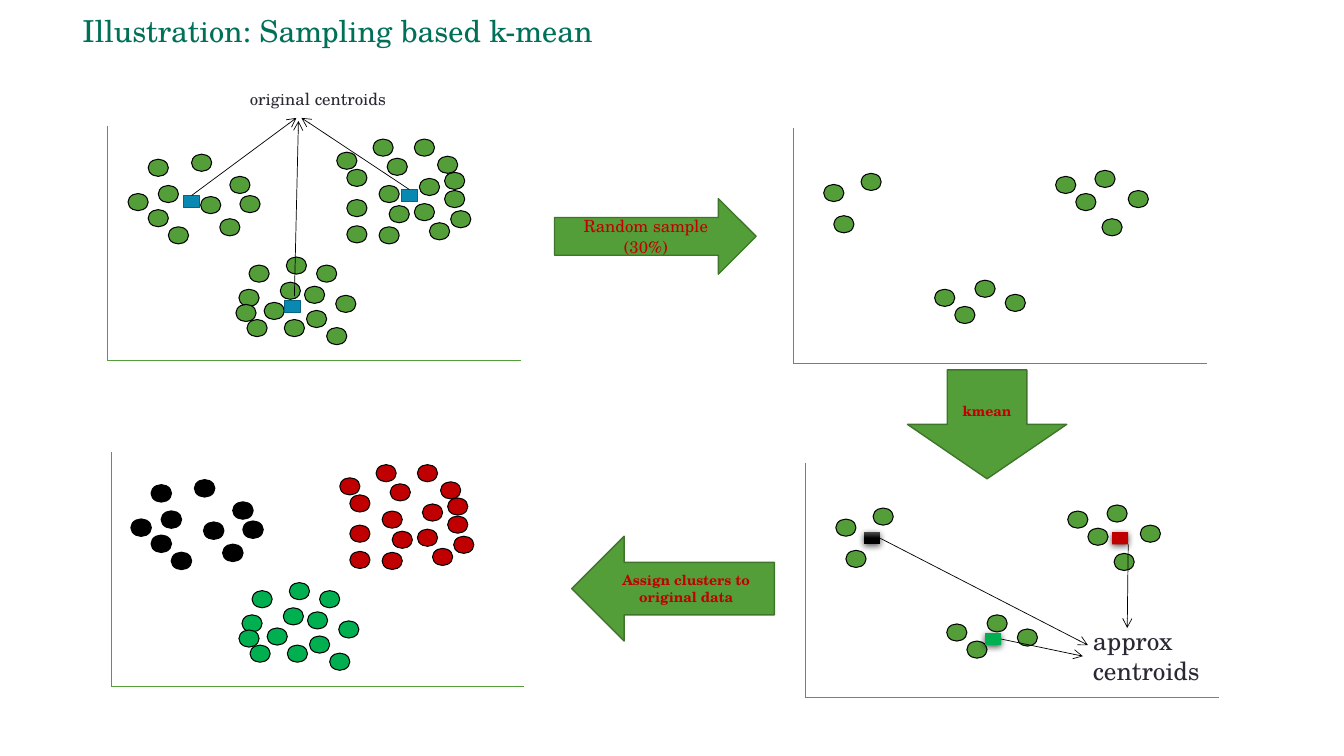
from lxml.etree import SubElement
from pptx import Presentation
from pptx.dml.color import RGBColor
from pptx.enum.shapes import MSO_CONNECTOR, MSO_SHAPE
from pptx.enum.text import MSO_ANCHOR, MSO_AUTO_SIZE, PP_ALIGN
from pptx.oxml.ns import qn
from pptx.util import Inches, Pt

FONT = "TeX Gyre Schola"
COLORS = {
    "title": "017058", "text": "292934", "label": "C00000",
    "green": "549E39", "arrow edge": "3E752A",
    "blue": "0989B1", "blue edge": "076583",
    "black": "000000", "highlight": "4B4B4B", "red": "C00000", "bright green": "00B050",
}
PLOT_WIDTH, PLOT_HEIGHT = 4.1, 2.33
DOT_SIZE = (0.2, 0.17)
CENTROID_SIZE = (0.16, 0.12)
TOP, RIGHT = 0, 3

# Dot positions in inches from the top left corner of a plot
ALL_DATA = {
    "west": [(0.2, 0.67), (0.4, 0.83), (0.6, 1.0), (0.92, 0.7), (1.11, 0.92),
             (0.4, 0.33), (1.21, 0.5), (1.31, 0.69), (0.83, 0.28), (0.5, 0.59)],
    "east": [(2.77, 0.32), (2.37, 0.73), (3.27, 0.3), (3.34, 0.64), (2.69, 1.0),
             (3.19, 0.96), (2.69, 0.59), (3.09, 0.52), (3.04, 0.77), (2.79, 0.79),
             (3.4, 0.84), (2.37, 0.99), (3.04, 0.13), (2.63, 0.13), (2.37, 0.43),
             (3.34, 0.46), (2.27, 0.26)],
    "south": [(1.55, 1.75), (1.75, 1.92), (1.97, 1.83), (1.4, 1.38), (1.77, 1.3),
              (1.71, 1.55), (1.3, 1.62), (1.38, 1.92), (2.07, 1.38), (2.26, 1.68),
              (2.17, 2.0), (1.95, 1.59), (1.27, 1.77)],
}
SAMPLE = {
    "west": [(0.3, 0.56), (0.4, 0.87), (0.67, 0.45)],
    "east": [(2.6, 0.48), (2.8, 0.65), (3.06, 0.9), (2.99, 0.42), (3.32, 0.62)],
    "south": [(1.4, 1.6), (1.6, 1.77), (1.8, 1.51), (2.1, 1.65)],
}
ALL_GREEN = dict.fromkeys(ALL_DATA, "green")
CLUSTER_COLORS = {"west": "black", "east": "red", "south": "bright green"}


def rgb(name):
    return RGBColor.from_string(COLORS[name])


def add_filled_shape(slide, kind, left, top, size, fill, edge=None, edge_width=1):
    shape = slide.shapes.add_shape(
        kind, Inches(left), Inches(top), Inches(size[0]), Inches(size[1]))
    shape.shadow.inherit = False
    shape.fill.solid()
    shape.fill.fore_color.rgb = rgb(fill)
    if edge:
        shape.line.color.rgb = rgb(edge)
        shape.line.width = Pt(edge_width)
    else:
        shape.line.fill.background()
    return shape


def add_line(slide, start, end, color, arrow=False):
    line = slide.shapes.add_connector(
        MSO_CONNECTOR.STRAIGHT, *(Inches(value) for value in (*start, *end)))
    line.line.color.rgb = rgb(color)
    line.line.width = Pt(0.5)
    properties = line._element.spPr
    if arrow:
        SubElement(properties.find(qn("a:ln")), qn("a:tailEnd"), type="arrow")
    SubElement(properties, qn("a:effectLst"))
    return line


def add_run(paragraph, text, size, color, bold=False):
    run = paragraph.add_run()
    run.text = text
    run.font.name = FONT
    run.font.size = Pt(size)
    run.font.bold = bold
    run.font.color.rgb = rgb(color)


def add_text(slide, left, top, width, height, text, size, color, wrap=True):
    box = slide.shapes.add_textbox(Inches(left), Inches(top), Inches(width), Inches(height))
    box.text_frame.word_wrap = wrap
    add_run(box.text_frame.paragraphs[0], text, size, color)
    return box.text_frame


def add_title(slide, left, top, width, height):
    frame = add_text(slide, left, top, width, height,
                     "Illustration: Sampling based k-mean", 21.6, "title")
    frame.vertical_anchor = MSO_ANCHOR.MIDDLE
    frame.paragraphs[0].line_spacing = 0.9


def add_plot(slide, left, top, clusters, colors):
    """Draw the two axes and the dots of every cluster."""
    corner = (left, top + PLOT_HEIGHT)
    add_line(slide, (left, top), corner, "green")
    add_line(slide, corner, (left + PLOT_WIDTH, top + PLOT_HEIGHT), "green")
    for cluster, dots in clusters.items():
        color = colors[cluster]
        for x, y in dots:
            add_filled_shape(slide, MSO_SHAPE.OVAL, left + x, top + y, DOT_SIZE,
                             color, "black", 1 if color == "black" else 0.75)


def add_original_centroids(slide, left, top):
    west, east, _ = [
        add_filled_shape(slide, MSO_SHAPE.RECTANGLE, left + x, top + y,
                         CENTROID_SIZE, "blue", "blue edge")
        for x, y in [(0.75, 0.69), (2.91, 0.63), (1.75, 1.73)]]
    pointers = [(west, (0.83, 0.69), (1.87, -0.08)),
                (east, (2.99, 0.63), (1.92, -0.08)),
                (None, (1.85, 1.69), (1.89, -0.05))]
    add_pointers(slide, left, top, pointers, TOP)
    add_text(slide, left + 1.31, top - 0.42, 1.57, 0.3,
             "original centroids", 12, "text", wrap=False)


def add_approximate_centroids(slide, left, top):
    centroids = {}
    for cluster, x, y in [("west", 0.58, 0.69), ("east", 3.04, 0.69), ("south", 1.78, 1.69)]:
        centroid = add_filled_shape(slide, MSO_SHAPE.RECTANGLE, left + x, top + y,
                                    CENTROID_SIZE, CLUSTER_COLORS[cluster])
        add_soft_shadow(centroid)
        centroids[cluster] = centroid
    shade_black(centroids["west"])
    frame = add_text(slide, left + 2.75, top + 1.56, 1.42, 0.71,
                     "approx centroids", 18, "text")
    frame.auto_size = MSO_AUTO_SIZE.SHAPE_TO_FIT_TEXT
    pointers = [(None, (3.2, 0.81), (3.19, 1.64)),
                (centroids["west"], (0.74, 0.75), (2.8, 1.81)),
                (centroids["south"], (1.94, 1.75), (2.75, 1.92))]
    add_pointers(slide, left, top, pointers, RIGHT)


def add_pointers(slide, left, top, pointers, side):
    """Draw arrows, joined to the given side of their centroid if they have one."""
    for centroid, (x1, y1), (x2, y2) in pointers:
        pointer = add_line(slide, (left + x1, top + y1), (left + x2, top + y2),
                           "black", arrow=True)
        if centroid is not None:
            pointer.begin_connect(centroid, side)


def add_soft_shadow(shape):
    effects = shape._element.spPr.find(qn("a:effectLst"))
    shadow = SubElement(effects, qn("a:outerShdw"), blurRad=str(Pt(4.5)),
                        dist=str(Pt(1.5)), dir="5400000", rotWithShape="0")
    color = SubElement(shadow, qn("a:srgbClr"), val=COLORS["black"])
    SubElement(color, qn("a:alpha"), val="63000")


def shade_black(shape):
    shape.fill.gradient()
    shape.fill.gradient_angle = 270
    stops = zip(shape.fill.gradient_stops, ["highlight", "black"], [0, 0.5])
    for stop, color, position in stops:
        stop.color.rgb = rgb(color)
        stop.position = position


def add_step_arrow(slide, kind, left, top, width, height, lines, size, bold):
    arrow = add_filled_shape(slide, kind, left, top, (width, height), "green", "arrow edge")
    frame = arrow.text_frame
    frame.word_wrap = True
    frame.vertical_anchor = MSO_ANCHOR.MIDDLE
    for index, text in enumerate(lines):
        paragraph = frame.add_paragraph() if index else frame.paragraphs[0]
        paragraph.alignment = PP_ALIGN.CENTER
        add_run(paragraph, text, size, "label", bold)


def main():
    presentation = Presentation()
    presentation.slide_width = Inches(13.33)
    presentation.slide_height = Inches(7.5)
    slide = presentation.slides.add_slide(presentation.slide_layouts[6])

    add_title(slide, 0.72, 0.16, 10.8, 0.33)
    add_plot(slide, 1.07, 1.25, ALL_DATA, ALL_GREEN)
    add_original_centroids(slide, 1.07, 1.25)
    add_step_arrow(slide, MSO_SHAPE.RIGHT_ARROW, 5.5, 1.97, 2, 0.75,
                   ["Random sample", "(30%)"], 12, False)
    add_plot(slide, 7.87, 1.27, SAMPLE, ALL_GREEN)
    add_step_arrow(slide, MSO_SHAPE.DOWN_ARROW, 9, 3.67, 1.58, 1.08, ["kmean"], 10, True)
    add_plot(slide, 7.99, 4.59, SAMPLE, ALL_GREEN)
    add_approximate_centroids(slide, 7.99, 4.59)
    add_step_arrow(slide, MSO_SHAPE.LEFT_ARROW, 5.67, 5.32, 2.01, 1.04,
                   ["Assign clusters to original data"], 10, True)
    add_plot(slide, 1.1, 4.48, ALL_DATA, CLUSTER_COLORS)

    presentation.save("out.pptx")


if __name__ == "__main__":
    main()
